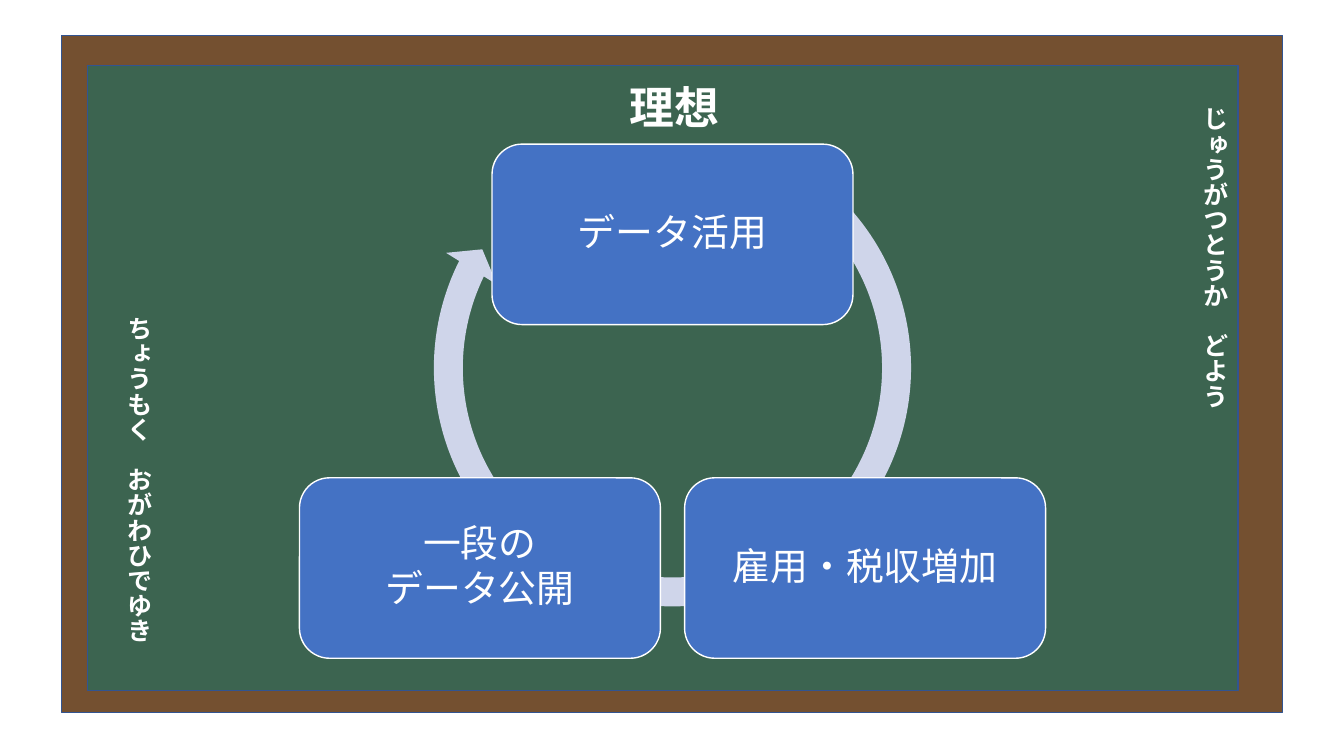
from lxml import etree
from pptx import Presentation
from pptx.dml.color import RGBColor
from pptx.enum.shapes import MSO_SHAPE
from pptx.enum.text import MSO_ANCHOR, MSO_AUTO_SIZE, PP_ALIGN
from pptx.oxml.ns import qn
from pptx.util import Inches, Pt

RECT = MSO_SHAPE.RECTANGLE
ROUNDED = MSO_SHAPE.ROUNDED_RECTANGLE
CIRCULAR_ARROW = MSO_SHAPE.CIRCULAR_ARROW
CENTER = PP_ALIGN.CENTER
LEFT = PP_ALIGN.LEFT
MIDDLE = MSO_ANCHOR.MIDDLE
GROW = MSO_AUTO_SIZE.SHAPE_TO_FIT_TEXT

FONT = "Noto Sans CJK JP"
WHITE, WOOD, BOARD = "FFFFFF", "745030", "3C6450"
BLUE, EDGE, RING = "4472C4", "325491", "CFD5EA"


def color(value):
    """Return the colour for a hex string."""
    return RGBColor.from_string(value)


def add_shape(s, kind, box, fill, line=None):
    """Add a flat filled shape, outlined when a line colour is given."""
    sp = s.shapes.add_shape(kind, *(Inches(v) for v in box))
    sp.shadow.inherit = False
    sp.fill.solid()
    sp.fill.fore_color.rgb = color(fill)
    if line:
        sp.line.color.rgb = color(line)
        sp.line.width = Pt(1)
    else:
        sp.line.fill.background()
    return sp


def style(p, size, bold=False, align=LEFT):
    """Format a paragraph in white with the same font for all scripts."""
    p.alignment = align
    p.font.size = Pt(size)
    p.font.bold = bold
    p.font.color.rgb = color(WHITE)
    p.font.name = FONT
    rpr = p._p.pPr.find(qn("a:defRPr"))
    etree.SubElement(rpr, qn("a:ea")).set("typeface", FONT)


def add_label(s, box, text, size, align=LEFT, vertical=False):
    """Add a bold chalk label, horizontal or vertical."""
    tf = s.shapes.add_textbox(*(Inches(v) for v in box)).text_frame
    tf.word_wrap = True
    tf.auto_size = GROW
    if vertical:
        tf._txBody.bodyPr.set("vert", "eaVert")
    tf.text = text
    style(tf.paragraphs[0], size, True, align)


def add_blackboard(s, left, top, width, height):
    """Draw the wooden frame and the green board inside it."""
    add_shape(s, RECT, (left, top, width, height), WOOD, EDGE)
    add_shape(s, RECT, (left + 0.26, top + 0.3, width - 0.7, height - 0.52), BOARD, EDGE)


def add_step(s, box, text):
    """Add one rounded step of the cycle with its text."""
    sp = add_shape(s, ROUNDED, box, BLUE, WHITE)
    tf = sp.text_frame
    tf.word_wrap = True
    tf.vertical_anchor = MIDDLE
    tf.text = text
    for p in tf.paragraphs:
        style(p, 27, align=CENTER)
        p.line_spacing = 0.9
        p.space_after = Pt(3)


def add_cycle(s, left, top, width, height):
    """Draw three steps in a triangle over a circular arrow."""
    step_w, step_h, ring = 3.58, 1.79, 5.04
    middle = left + width / 2
    arrow = add_shape(s, CIRCULAR_ARROW, (middle - ring / 2, top - 0.3, ring, ring), RING)
    for i, value in enumerate((0.057, 3.405, 123.763, 183.023, 0.059)):
        arrow.adjustments[i] = value
    bottom = top + height - step_h
    steps = [
        (middle - step_w / 2, top, "データ活用"),
        (left + width - step_w, bottom, "雇用・税収増加"),
        (left, bottom, "一段の\nデータ公開"),
    ]
    for x, y, text in steps:
        add_step(s, (x, y, step_w, step_h), text)


def main():
    """Build the slide and save it."""
    prs = Presentation()
    prs.slide_width, prs.slide_height = Inches(13.33), Inches(7.5)
    s = prs.slides.add_slide(prs.slide_layouts[6])
    add_blackboard(s, 0.61, 0.35, 12.11, 6.72)
    add_label(s, (11.14, 0.96, 1.11, 5.1), "じゅうがつとうか　どよう", 18, vertical=True)
    add_label(s, (1.08, 3.04, 0.5, 3.61), "ちょうもく　おがわひでゆき", 18, vertical=True)
    add_label(s, (4.75, 0.74, 3.88, 0.64), "理想", 32, CENTER)
    add_cycle(s, 2.97, 1.43, 7.4, 5.1)
    prs.save("out.pptx")


if __name__ == "__main__":
    main()
